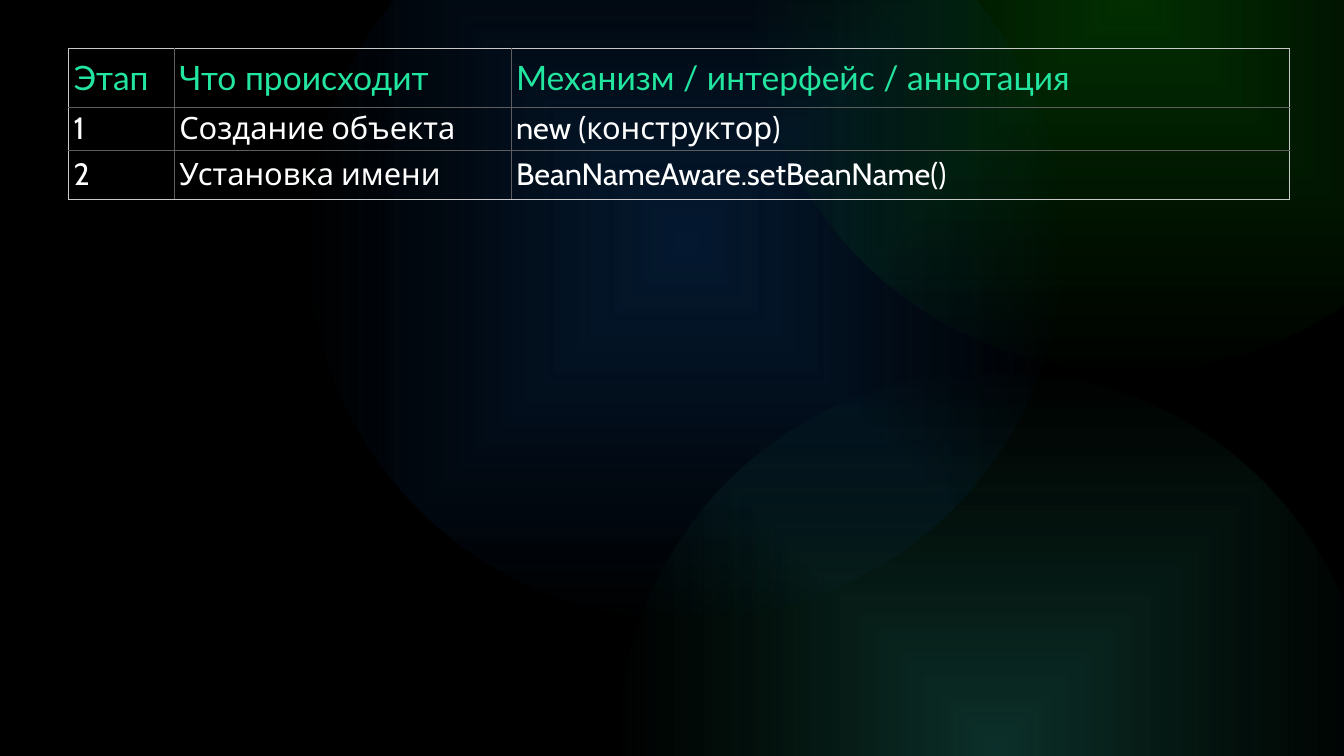
"""Build a dark slide with a table of bean creation stages over glowing circles."""
from lxml import etree
from pptx import Presentation
from pptx.dml.color import RGBColor
from pptx.enum.shapes import MSO_SHAPE
from pptx.enum.text import MSO_ANCHOR
from pptx.oxml import parse_xml
from pptx.oxml.ns import nsdecls, qn
from pptx.util import Cm, Pt

OVAL = MSO_SHAPE.OVAL
MIDDLE = MSO_ANCHOR.MIDDLE

BLACK = RGBColor(0x00, 0x00, 0x00)
WHITE = RGBColor(0xFF, 0xFF, 0xFF)
MINT = RGBColor(0x22, 0xE5, 0xA0)
INNER_LINE = RGBColor(0x5E, 0x5E, 0x5E)
OUTER_LINE = RGBColor(0xC8, 0xC8, 0xC8)
GREEN = RGBColor(0x08, 0xBC, 0x08)
TEAL = RGBColor(0x31, 0xC2, 0xA7)
DARK_TEAL = RGBColor(0x20, 0x9F, 0x6D)
BLUE = RGBColor(0x11, 0x64, 0xC0)


def fill_glow(circle, center, edge):
    glow = parse_xml(
        f'<a:gradFill {nsdecls("a")} rotWithShape="1"><a:gsLst>'
        f'<a:gs pos="0"><a:srgbClr val="{center}"><a:alpha val="25000"/></a:srgbClr></a:gs>'
        f'<a:gs pos="100000"><a:srgbClr val="{edge}"><a:alpha val="0"/></a:srgbClr></a:gs>'
        '</a:gsLst><a:path path="shape">'
        '<a:fillToRect l="50000" t="50000" r="50000" b="50000"/></a:path></a:gradFill>'
    )
    circle._element.spPr.find(qn("a:prstGeom")).addnext(glow)


def add_border(cell, side, color):
    border = etree.SubElement(cell._tc.get_or_add_tcPr(), qn(f"a:ln{side}"), w=str(Pt(1)))
    solid = etree.SubElement(border, qn("a:solidFill"))
    etree.SubElement(solid, qn("a:srgbClr"), val=str(color))


prs = Presentation()
prs.slide_width, prs.slide_height = Cm(67.73), Cm(38.1)
slide = prs.slides.add_slide(prs.slide_layouts[6])
slide.background.fill.solid()
slide.background.fill.fore_color.rgb = BLACK

glows = [
    (37.87, -19.4, GREEN, GREEN),
    (31.12, 18.69, TEAL, DARK_TEAL),
    (15.49, -6.86, BLUE, BLUE),
]
for left, top, center, edge in glows:
    circle = slide.shapes.add_shape(OVAL, Cm(left), Cm(top), Cm(38.1), Cm(38.1))
    circle.shadow.inherit = False
    circle.line.fill.background()
    circle.rotation = 180
    fill_glow(circle, center, edge)

stages = [
    ("Этап", "Что происходит", "Механизм / интерфейс / аннотация"),
    ("1", "Создание объекта", "new (конструктор)"),
    ("2", "Установка имени", "BeanNameAware.setBeanName()"),
]
widths = [5.33, 16.97, 39.22]
heights = [3, 2.16, 2.46]
last_row, last_col = len(heights) - 1, len(widths) - 1

table = slide.shapes.add_table(
    len(heights), len(widths), Cm(3.45), Cm(2.41), Cm(sum(widths)), Cm(sum(heights))
).table
table.first_row = False
table.horz_banding = False
for column, width in zip(table.columns, widths):
    column.width = Cm(width)
for row, height in zip(table.rows, heights):
    row.height = Cm(height)

for r, stage in enumerate(stages):
    for c, wording in enumerate(stage):
        cell = table.cell(r, c)
        cell.vertical_anchor = MIDDLE
        outer_sides = {"L": c == 0, "R": c == last_col, "T": r == 0, "B": r == last_row}
        for side, is_outer in outer_sides.items():
            add_border(cell, side, OUTER_LINE if is_outer else INNER_LINE)
        cell.fill.background()
        cell.text_frame.text = wording
        paragraph = cell.text_frame.paragraphs[0]
        font = paragraph.runs[0].font
        if r == 0:
            paragraph.space_before = paragraph.space_after = Pt(6)
            font.name, font.size, font.color.rgb = "Lato", Pt(48), MINT
        else:
            font.name, font.size, font.color.rgb = "Cabin", Pt(44), WHITE

prs.save("out.pptx")
